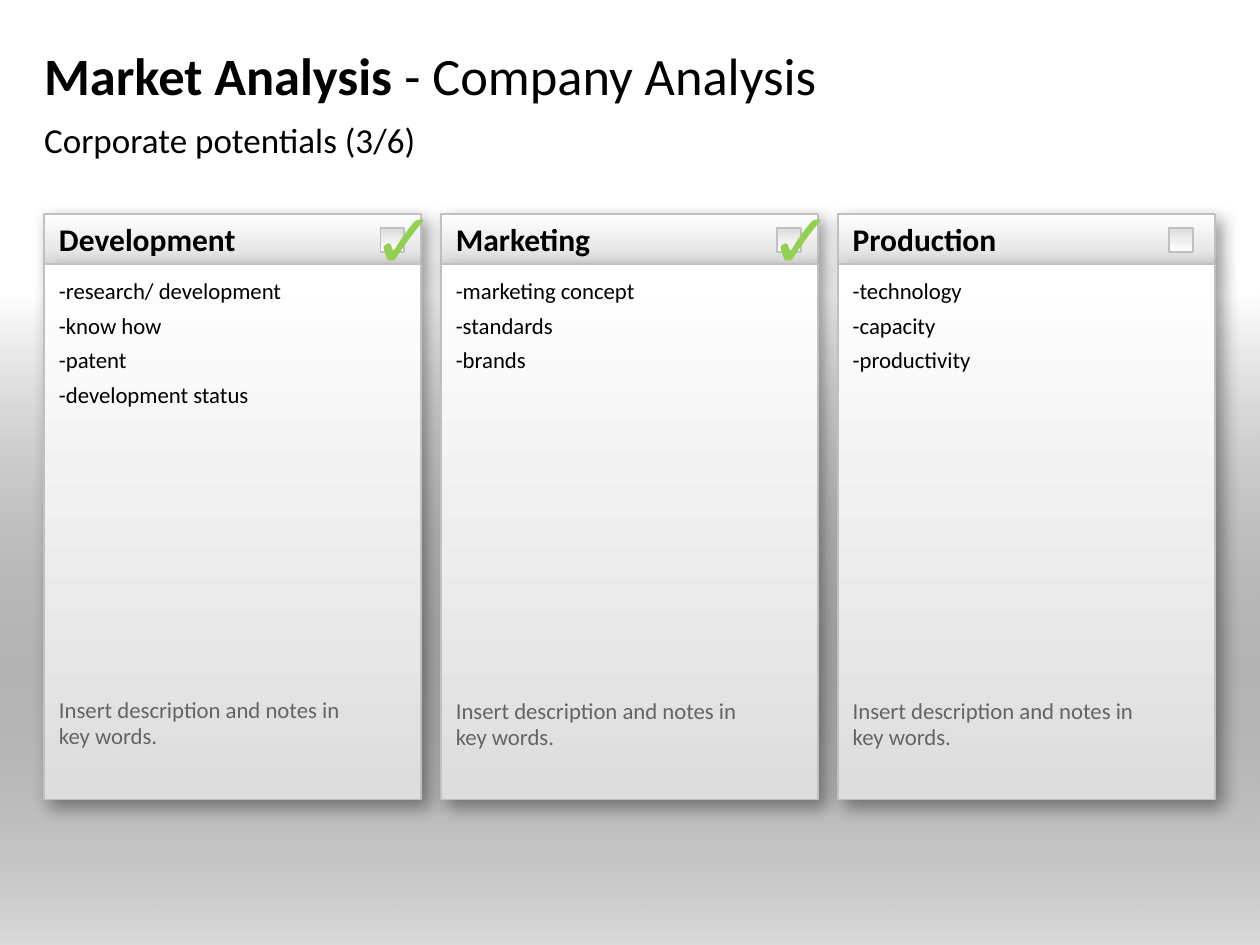
from dataclasses import dataclass

import pptx
import pptx.dml.color
import pptx.enum.shapes
import pptx.enum.text
import pptx.oxml
import pptx.oxml.ns
import pptx.util

Cm = pptx.util.Cm
Pt = pptx.util.Pt
RGB = pptx.dml.color.RGBColor.from_string
ANCHOR = pptx.enum.text.MSO_ANCHOR
NS = pptx.oxml.ns.nsdecls("a")


@dataclass(frozen=True)
class Theme:
    font: str = "Calibri"
    text: str = "000000"
    note: str = "646464"
    light: str = "FFFFFF"
    shade: str = "DDDDDD"
    border: str = "C0C0C0"
    check: str = "92D050"
    title_size: int = 30
    subtitle_size: int = 20
    header_size: int = 18
    body_size: int = 13
    check_size: int = 44


THEME = Theme()
LINE_PITCH = 20.05
NOTE_ROW = 12
COLUMNS = [
    ("Development", ["-research/ development", "-know how", "-patent", "-development status"], 6.78, True),
    ("Marketing", ["-marketing concept", "-standards", "-brands"], 6.78, True),
    ("Production", ["-technology", "-capacity", "-productivity"], 6.68, False),
]


def add_run(p, text, size, color=THEME.text, bold=False):
    r = p.add_run()
    r.text = text
    r.font.name = THEME.font
    r.font.size = Pt(size)
    r.font.bold = bold
    r.font.color.rgb = RGB(color)
    return r


def set_frame(tf, insets=(0, 0, 0, 0), anchor=ANCHOR.TOP, wrap=True):
    tf.margin_left, tf.margin_top, tf.margin_right, tf.margin_bottom = map(Cm, insets)
    tf.vertical_anchor = anchor
    tf.word_wrap = wrap
    return tf


def add_text(s, x, y, w, h, **frame):
    sp = s.shapes.add_textbox(Cm(x), Cm(y), Cm(w), Cm(h))
    return set_frame(sp.text_frame, **frame)


def add_panel(s, x, y, w, h, top, bottom, border=True, shadow=False):
    sp = s.shapes.add_shape(pptx.enum.shapes.MSO_SHAPE.RECTANGLE, Cm(x), Cm(y), Cm(w), Cm(h))
    sp.shadow.inherit = False
    sp.fill.gradient()
    sp.fill.gradient_angle = 90
    for stop, color in zip(sp.fill.gradient_stops, (bottom, top)):
        stop.color.rgb = RGB(color)
    if border:
        sp.line.color.rgb = RGB(THEME.border)
        sp.line.width = Pt(1)
    else:
        sp.line.fill.background()
    if shadow:
        effects = sp._element.spPr.find(pptx.oxml.ns.qn("a:effectLst"))
        effects.append(pptx.oxml.parse_xml(
            f'<a:outerShdw {NS} blurRad="{Pt(10)}" dist="{Pt(5)}" dir="2700000" algn="tl" '
            'rotWithShape="0"><a:srgbClr val="000000"><a:alpha val="40000"/></a:srgbClr></a:outerShdw>'))
    return sp


def add_backdrop(s, x, y, w, h):
    sp = add_panel(s, x, y, w, h, THEME.light, THEME.text, border=False)
    dark = sp._element.spPr.xpath(".//a:gs/a:srgbClr")[0]
    dark.append(pptx.oxml.parse_xml(f'<a:alpha {NS} val="15000"/>'))


def add_heading(s, x, y, w):
    p = add_text(s, x, y, w, 1.7, anchor=ANCHOR.MIDDLE).paragraphs[0]
    add_run(p, "Market Analysis ", THEME.title_size, bold=True)
    add_run(p, "- Company Analysis", THEME.title_size)
    p = add_text(s, x, y + 1.73, w, 0.94).paragraphs[0]
    add_run(p, "Corporate potentials (3/6)", THEME.subtitle_size)


def add_check(s, x, y):
    p = add_text(s, x, y, 1.35, 1.88, wrap=False).paragraphs[0]
    r = add_run(p, "✓", THEME.check_size, THEME.check, bold=True)
    rPr = r.font._element
    rPr.set("spc", "300")
    rPr.insert(0, pptx.oxml.parse_xml(
        f'<a:ln {NS} w="{Pt(0.9)}"><a:solidFill><a:srgbClr val="{THEME.light}"/></a:solidFill></a:ln>'))


def add_column(s, x, y, w, h, title, items, box_x, checked):
    head_h = 1.0
    sp = add_panel(s, x, y, w, head_h, THEME.light, THEME.shade, shadow=True)
    tf = set_frame(sp.text_frame, (0.3, 0, 0, 0), ANCHOR.MIDDLE)
    p = tf.paragraphs[0]
    p.alignment = pptx.enum.text.PP_ALIGN.LEFT
    add_run(p, title, THEME.header_size, bold=True)

    sp = add_panel(s, x, y + head_h, w, h - head_h, THEME.light, THEME.shade, shadow=True)
    tf = set_frame(sp.text_frame, (0.3, 0.3, 0.41, 0.2))
    paragraphs = [tf.paragraphs[0]] + [tf.add_paragraph() for _ in items]
    for p in paragraphs:
        p.alignment = pptx.enum.text.PP_ALIGN.LEFT
        p.line_spacing = 0.95
        p.space_after = Pt(5)
    for p, item in zip(paragraphs, items):
        add_run(p, item, THEME.body_size)
    note = paragraphs[-1]
    note.space_before = Pt((NOTE_ROW - len(items)) * LINE_PITCH)
    add_run(note, "Insert description and notes in ", THEME.body_size, THEME.note)
    note.add_line_break()
    add_run(note, "key words.", THEME.body_size, THEME.note)

    add_panel(s, x + box_x, y + 0.28, 0.48, 0.48, THEME.shade, THEME.light)
    if checked:
        add_check(s, x + 6.62, y - 0.46)


def main():
    prs = pptx.Presentation()
    prs.slide_width, prs.slide_height = Cm(25.4), Cm(19.05)
    s = prs.slides.add_slide(prs.slide_layouts[6])
    add_backdrop(s, 0, 5.92, 25.4, 13.13)
    add_heading(s, 0.89, 0.66, 23.6)
    for i, column in enumerate(COLUMNS):
        add_column(s, 0.89 + 8 * i, 4.32, 7.6, 11.8, *column)
    prs.save("out.pptx")


if __name__ == "__main__":
    main()
